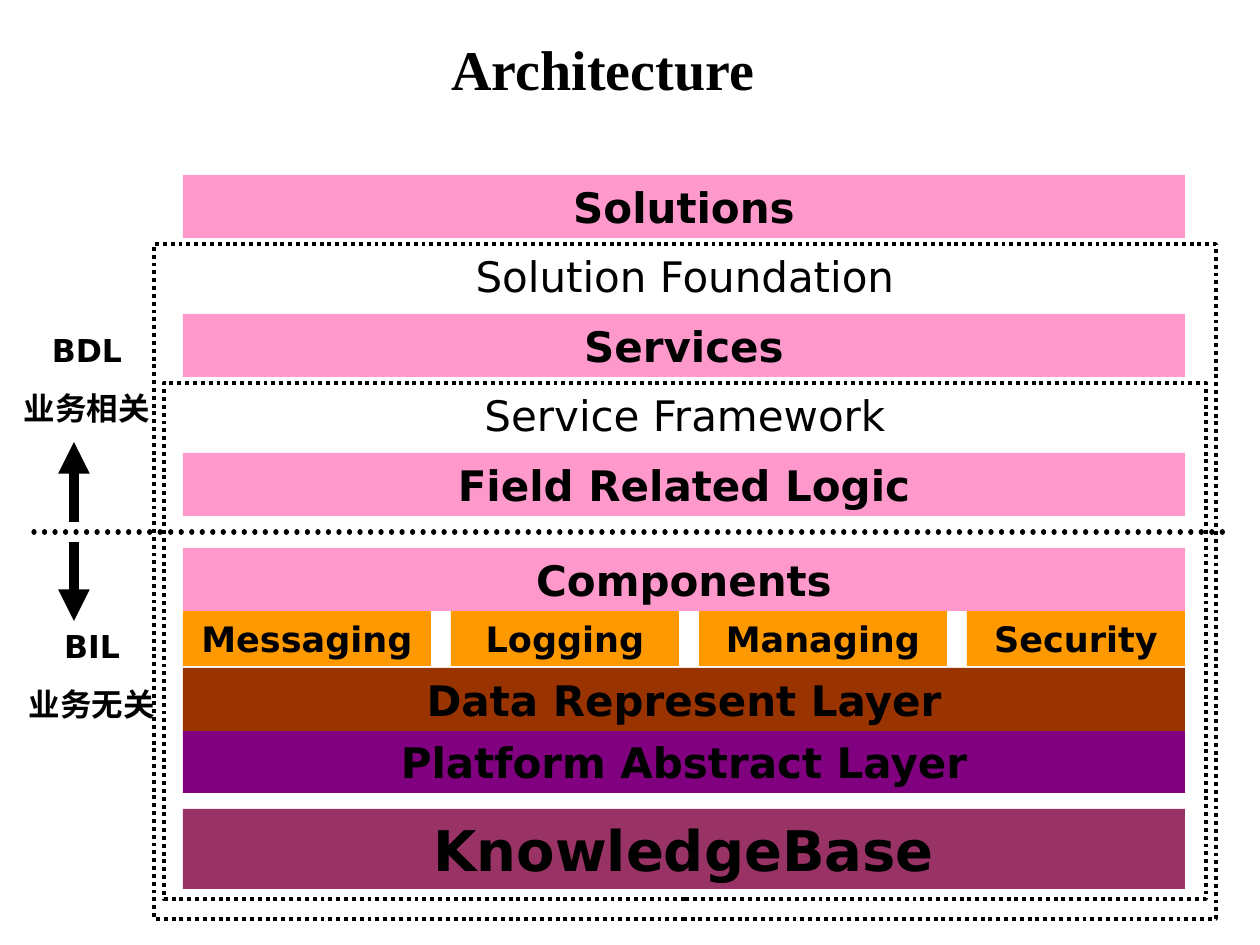
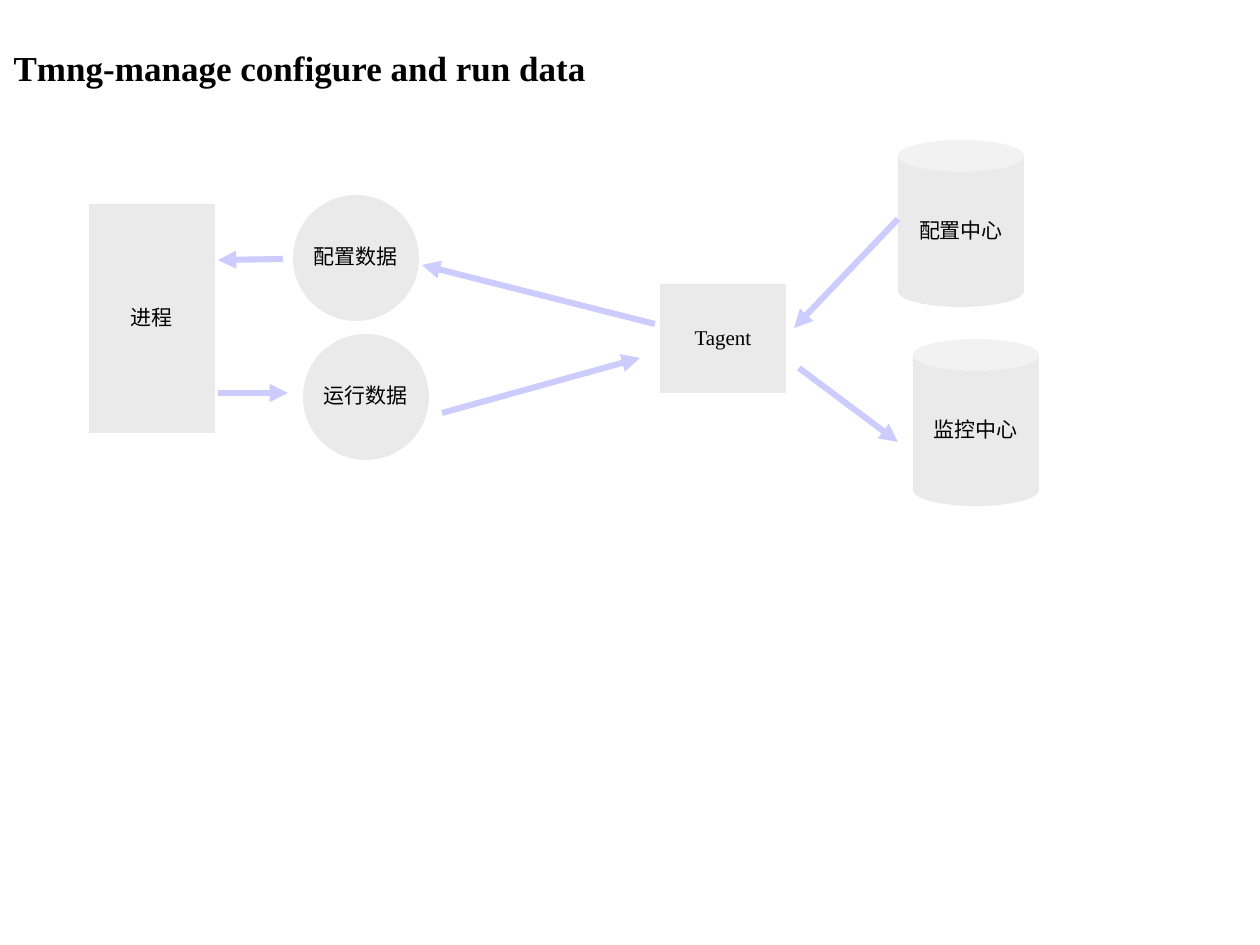
from dataclasses import dataclass

from lxml import etree
from pptx import Presentation
from pptx import util as u
from pptx.dml.color import RGBColor
from pptx.enum import dml, shapes, text
from pptx.oxml import ns

SCALE = 914400 / 126
CENTRE, LEFT = text.PP_ALIGN.CENTER, text.PP_ALIGN.LEFT
TOP, MIDDLE = text.MSO_ANCHOR.TOP, text.MSO_ANCHOR.MIDDLE
SHAPE = shapes.MSO_SHAPE


@dataclass(frozen=True)
class Theme:
    ink: str = "000000"
    layer: str = "FF99CC"
    module: str = "FF9900"
    data: str = "993300"
    platform: str = "800080"
    knowledge: str = "993366"
    node: str = "EAEAEA"
    flow: str = "CCCCFF"
    serif: str = "Times New Roman"
    sans: str = "DejaVu Sans"
    huge: int = 32
    large: int = 24
    medium: int = 20
    small: int = 18
    tiny: int = 12


THEME = Theme()


def px(*lengths):
    return [u.Emu(round(length * SCALE)) for length in lengths]


def set_all(target, formats):
    for name, value in formats.items():
        setattr(target, name, value)


def write(frame, lines, size, font=THEME.sans, bold=True, align=CENTRE,
          anchor=TOP, wrap=True, gap=0, spacing=1.0):
    """Fill a text frame; gap is the space before each line after the first."""
    set_all(frame, {"word_wrap": wrap, "vertical_anchor": anchor,
                    "auto_size": text.MSO_AUTO_SIZE.NONE})
    frame.text = "\n".join(lines)
    for index, paragraph in enumerate(frame.paragraphs):
        set_all(paragraph, {"alignment": align, "line_spacing": spacing,
                            "space_before": u.Pt(gap if index else 0)})
        set_all(paragraph.font, {"name": font, "size": u.Pt(size), "bold": bold})
        paragraph.font.color.rgb = RGBColor.from_string(THEME.ink)


def add_titled_slide(deck, title, width, size, align):
    slide = deck.slides.add_slide(deck.slide_layouts[5])
    heading = slide.shapes.title
    left, top, wide, high = px(1, 10, width, 116)
    set_all(heading, {"left": left, "top": top, "width": wide, "height": high})
    write(heading.text_frame, [title], size, THEME.serif, align=align, anchor=MIDDLE)
    return slide


def add_block(slide, kind, box, fill, label, size, **style):
    block = slide.shapes.add_shape(kind, *px(*box))
    block.shadow.inherit = False
    block.line.fill.background()
    if fill:
        block.fill.solid()
        block.fill.fore_color.rgb = RGBColor.from_string(fill)
    else:
        block.fill.background()
    write(block.text_frame, [label], size, **style)
    return block


def add_layer(slide, label, top, height, fill, size=THEME.large):
    add_block(slide, SHAPE.RECTANGLE, (183, top, 1002, height), fill, label, size)


def add_dotted_frame(slide, label, box):
    frame = add_block(slide, SHAPE.RECTANGLE, box, None, label, THEME.large,
                      bold=False, wrap=False)
    frame.line.color.rgb = RGBColor.from_string(THEME.ink)
    set_all(frame.line, {"width": u.Pt(2.25), "dash_style": dml.MSO_LINE.ROUND_DOT})


def add_node(slide, kind, label, *box):
    return add_block(slide, kind, box, THEME.node, label, THEME.tiny, font=THEME.serif,
                     bold=False, anchor=MIDDLE, wrap=False, spacing=0.9)


def add_line(slide, ends, color, width, arrow=True):
    """Draw an arrow, or a round-dotted line when arrow is False."""
    line = slide.shapes.add_connector(shapes.MSO_CONNECTOR.STRAIGHT, *px(*ends))
    line.line.color.rgb = RGBColor.from_string(color)
    line.line.width = u.Pt(width)
    outline = line.line._get_or_add_ln()
    if arrow:
        etree.SubElement(outline, ns.qn("a:tailEnd"), type="triangle")
    else:
        line.line.dash_style = dml.MSO_LINE.ROUND_DOT
        outline.set("cap", "rnd")
    etree.SubElement(line._element.spPr, ns.qn("a:effectLst"))


def add_side_label(slide, lines, *box):
    label = slide.shapes.add_textbox(*px(*box))
    write(label.text_frame, lines, THEME.small, gap=11.2)


def build_architecture(deck):
    slide = add_titled_slide(deck, "Architecture", 1204, THEME.huge, CENTRE)
    add_dotted_frame(slide, "Service Framework", (164, 383, 1042, 516))

    for row, label in enumerate(["Solutions", "Services", "Field Related Logic"]):
        add_layer(slide, label, 175 + 139 * row, 63, THEME.layer)
    add_layer(slide, "Components", 548, 63, THEME.layer)
    add_layer(slide, "Platform Abstract Layer", 730, 63, THEME.platform)
    add_layer(slide, "Data Represent Layer", 668, 63, THEME.data)
    add_layer(slide, "KnowledgeBase", 809, 80, THEME.knowledge, THEME.huge)

    left, gap = 183, 20
    for module, width in [("Messaging", 248), ("Logging", 228),
                          ("Managing", 248), ("Security", 218)]:
        add_block(slide, SHAPE.RECTANGLE, (left, 611, width, 55), THEME.module,
                  module, THEME.medium)
        left += width + gap

    add_line(slide, (34, 532, 1226, 532), THEME.ink, 3, arrow=False)
    for start, end in [(542, 621), (522, 442)]:
        add_line(slide, (74, start, 74, end), THEME.ink, 6)
    add_side_label(slide, ["BIL", "业务无关"], 10, 621, 164, 108)
    add_side_label(slide, ["BDL", "业务相关"], 10, 325, 154, 108)
    add_dotted_frame(slide, "Solution Foundation", (154, 244, 1062, 675))


def build_data_flow(deck):
    slide = add_titled_slide(deck, "Tmng-manage configure and run data", 828,
                             THEME.medium, LEFT)
    add_node(slide, SHAPE.RECTANGLE, "进程", 89, 204, 126, 229)
    add_node(slide, SHAPE.RECTANGLE, "Tagent", 660, 284, 126, 109)
    for label, left, top in [("配置数据", 293, 195), ("运行数据", 303, 334)]:
        add_node(slide, SHAPE.OVAL, label, left, top, 126, 126)
    for label, left, top in [("配置中心", 898, 140), ("监控中心", 913, 339)]:
        store = add_node(slide, SHAPE.CAN, label, left, top, 126, 167)
        store.adjustments[0] = 0.25

    configure = [(898, 219, 794, 328), (655, 324, 422, 265), (283, 259, 218, 260)]
    run = [(218, 393, 288, 393), (442, 413, 640, 358), (799, 368, 898, 442)]
    for ends in configure + run:
        add_line(slide, ends, THEME.flow, 3.5)


def main():
    deck = Presentation()
    deck.slide_width, deck.slide_height = px(1260, 945)
    build_architecture(deck)
    build_data_flow(deck)
    deck.save("out.pptx")


if __name__ == "__main__":
    main()
